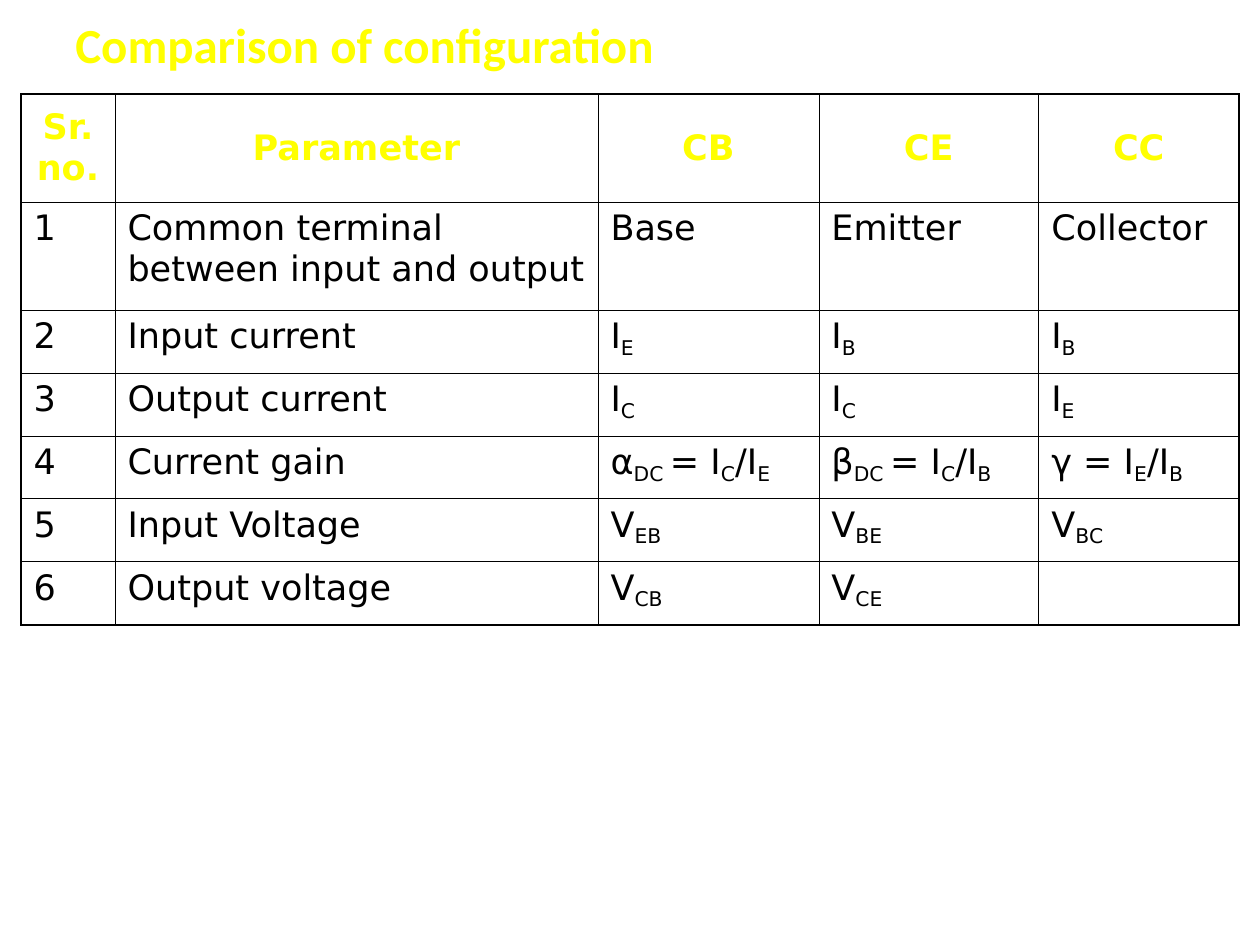
from lxml.etree import SubElement
from pptx import Presentation
from pptx.dml.color import RGBColor
from pptx.enum.text import MSO_ANCHOR as Anchor, PP_ALIGN as Align
from pptx.oxml.ns import qn
from pptx.util import Emu, Pt

EMU_PER_PX = 914400 // 126
COLORS = {"heading": "FFFF00", "body": "000000", "border": "000000"}
THIN, THICK = Pt(0.45), Pt(1.08)


def px(length):
    return Emu(length * EMU_PER_PX)


class SlideBuilder:
    title_font = "Calibri"
    table_font = "DejaVu Sans"

    def __init__(self, slide):
        self.slide = slide

    def style(self, font, name, size, color, bold):
        font.name, font.size, font.bold = name, Pt(size), bold
        font.color.rgb = RGBColor.from_string(COLORS[color])

    def title(self, text, left, top, width, height):
        frame = self.slide.shapes.add_textbox(
            px(left), px(top), px(width), px(height)).text_frame
        frame.word_wrap = True
        frame.vertical_anchor = Anchor.MIDDLE
        frame.text = text
        self.style(frame.paragraphs[0].runs[0].font, self.title_font, 28, "heading", True)

    def table(self, rows, left, top, widths, heights):
        table = self.slide.shapes.add_table(
            len(rows), len(widths), px(left), px(top),
            px(sum(widths)), px(sum(heights))).table
        table.horz_banding = table.first_row = False
        for column, width in zip(table.columns, widths):
            column.width = px(width)
        for row, height in zip(table.rows, heights):
            row.height = px(height)
        last_row, last_column = len(rows) - 1, len(widths) - 1
        for r, entries in enumerate(rows):
            for c, entry in enumerate(entries):
                cell = table.cell(r, c)
                self.borders(cell, {"lnL": c == 0, "lnR": c == last_column,
                                    "lnT": r == 0, "lnB": r == last_row})
                cell.fill.background()
                self.cell_text(cell, entry, is_header=r == 0)

    def borders(self, cell, outer_sides):
        properties = cell._tc.get_or_add_tcPr()
        for side, is_outer in outer_sides.items():
            line = SubElement(properties, qn(f"a:{side}"), w=str(THICK if is_outer else THIN))
            fill = SubElement(line, qn("a:solidFill"))
            SubElement(fill, qn("a:srgbClr"), val=COLORS["border"])

    def cell_text(self, cell, entry, is_header):
        """Parts between bars alternate between normal text and subscript."""
        if not entry:
            return
        paragraph = cell.text_frame.paragraphs[0]
        if is_header:
            cell.vertical_anchor = Anchor.MIDDLE
            paragraph.alignment = Align.CENTER
        for i, part in enumerate(entry.split("|")):
            run = paragraph.add_run()
            run.text = part
            self.style(run.font, self.table_font, 20,
                       "heading" if is_header else "body", is_header)
            if i % 2:
                run.font._element.set("baseline", "-18000")


CONFIGURATIONS = [
    ["Sr.no.", "Parameter", "CB", "CE", "CC"],
    ["1", "Common terminal between input and output", "Base", "Emitter", "Collector"],
    ["2", "Input current", "I|E", "I|B", "I|B"],
    ["3", "Output current", "I|C", "I|C", "I|E"],
    ["4", "Current gain", "α|DC |= I|C|/I|E", "β|DC |= I|C|/I|B", "γ = I|E|/I|B"],
    ["5", "Input Voltage", "V|EB", "V|BE", "V|BC"],
    ["6", "Output voltage", "V|CB", "V|CE", ""],
]


def main():
    deck = Presentation()
    deck.slide_width, deck.slide_height = px(1260), px(945)
    builder = SlideBuilder(deck.slides.add_slide(deck.slide_layouts[6]))

    # Heading
    builder.title("Comparison of configuration", 63, 10, 1134, 67)

    # Comparison table: two tall rows, then equal ones
    builder.table(CONFIGURATIONS, 21, 94,
                  widths=[94, 483, 221, 220, 200],
                  heights=[108] * 2 + [63] * 5)

    deck.save("out.pptx")


if __name__ == "__main__":
    main()
